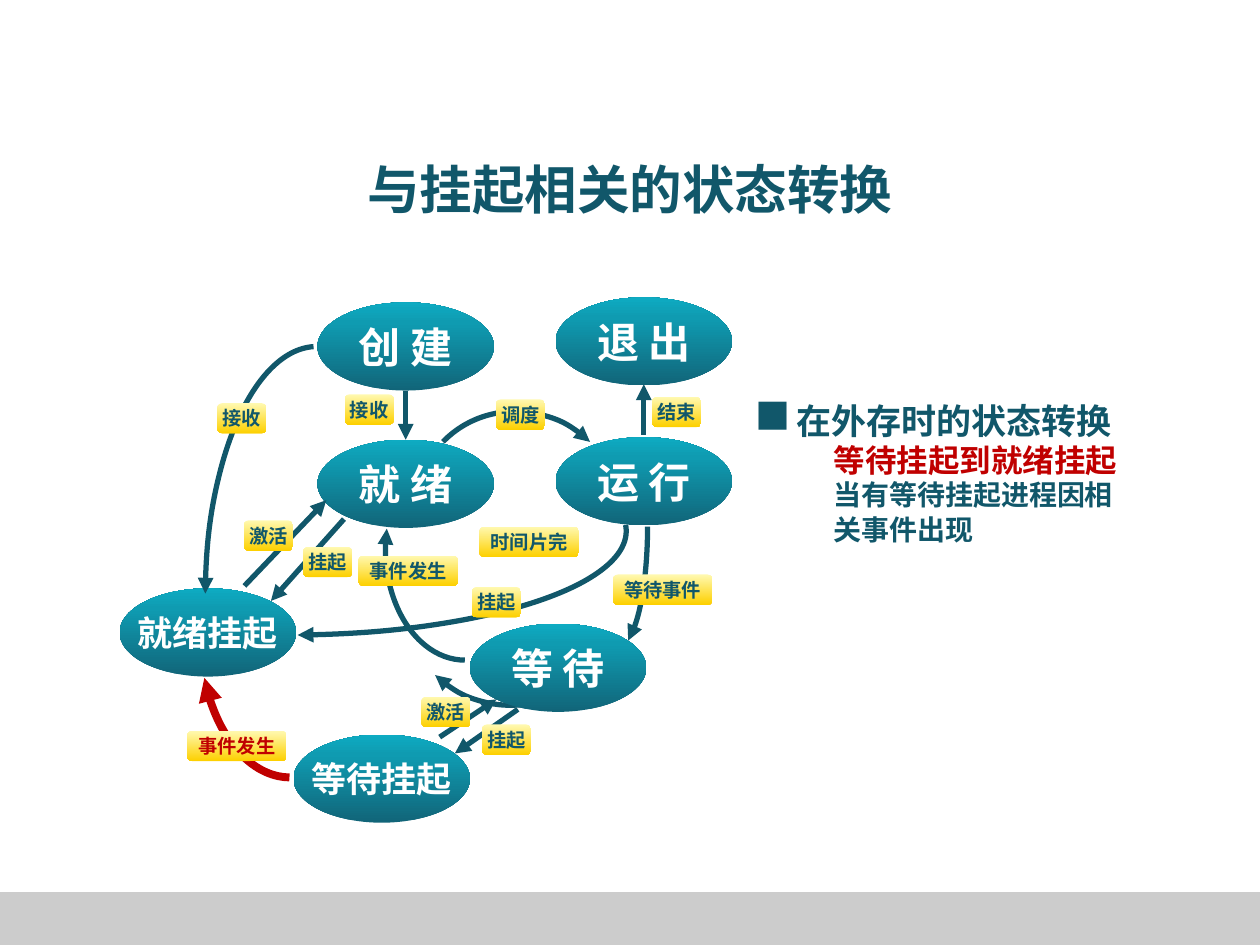
from lxml.etree import SubElement
from pptx import Presentation
from pptx.dml.color import RGBColor
from pptx.enum.shapes import MSO_CONNECTOR, MSO_SHAPE
from pptx.enum.text import MSO_ANCHOR, MSO_AUTO_SIZE, PP_ALIGN
from pptx.oxml.ns import qn
from pptx.util import Inches, Pt

# The slide is a grid of 100 columns by 75 rows
COLS, ROWS = 100, 75
CELL = Inches(0.1)
FONT = "Noto Sans CJK SC"
COLORS = {"ink": "11576A", "alert": "C00000", "white": "FFFFFF", "footer": "CCCCCC"}
NODE_STOPS = [(0, "116579"), (77, "0F9BB1"), (100, "0EABC2")]
LABEL_STOPS = [(0, "FFF9B1"), (100, "FDD000"), (100, "F0F2FF")]
NODE_SIZE = (14, 7)
LABEL_HEIGHT = 2.4

# State, left column, top row, text size
NODES = [
    ("创 建", 25.2, 24, 24),
    ("就 绪", 25.2, 34.9, 24),
    ("运 行", 44.1, 34.7, 24),
    ("等 待", 37.3, 49.5, 24),
    ("退 出", 44.1, 23.6, 24),
    ("就绪挂起", 9.5, 46.7, 20),
    ("等待挂起", 23.3, 58.3, 20),
]

# Start and end of each straight transition
STRAIGHT = [
    ((32.2, 31), (32.2, 34.9)),
    ((51.1, 34.5), (51.1, 30.5)),
    ((41.1, 56.3), (36.1, 59.8)),
    ((34.9, 58.5), (39.4, 55.5)),
    ((19.4, 46.5), (25.9, 39.7)),
    ((27.3, 41.2), (21.5, 47.7)),
]

# Frame and format of each curved transition
HIDDEN_CURVE = dict(frame=(31.9, 38.9, 16.7, 17.2), span=(160.58, 215.56), turn=134)
CURVES = [
    dict(frame=(46.4, 32, 5, 19.6), span=(0.08, 50.35)),
    dict(frame=(33.1, 32.5, 16.2, 16.8), span=(162, 0), turn=314),
    dict(frame=(-4.2, 33.9, 53.9, 16.5), span=(215.38, 50.37)),
    dict(frame=(30.6, 34.8, 12.6, 17.6), span=(207.14, 54), flip="H", arrow="headEnd"),
    dict(frame=(15.9, 39.2, 14.3, 22.5), span=(15.68, 53.78), flip="H",
         arrow="headEnd", color="alert", weight=4.5),
    dict(frame=(16.3, 27.5, 17.7, 39.5), span=(0.54, 53.54), flip="HV", arrow="headEnd"),
]

# Transition name, centre column, centre row, text colour
LABELS = [
    ("挂起", 39.4, 47.8, "ink"),
    ("接收", 19.2, 33.2, "ink"),
    ("事件发生", 18.8, 59.2, "alert"),
    ("接收", 29.3, 32.5, "ink"),
    ("激活", 21.3, 42.5, "ink"),
    ("挂起", 26, 44.6, "ink"),
    ("事件发生", 32.4, 45.3, "ink"),
    ("激活", 35.4, 56.5, "ink"),
    ("挂起", 40.2, 58.7, "ink"),
    ("等待事件", 52.6, 46.8, "ink"),
    ("时间片完", 42, 43, "ink"),
    ("调度", 41.3, 32.9, "ink"),
    ("结束", 53.7, 32.7, "ink"),
]


def cells(*counts):
    return [int(count * CELL) for count in counts]


def rgb(name):
    return RGBColor.from_string(COLORS[name])


def write(shape, text, size, color="ink", align=PP_ALIGN.LEFT,
          anchor=MSO_ANCHOR.TOP, wrap=True, inset=None, leading=None, font=FONT):
    frame = shape.text_frame
    frame.auto_size = MSO_AUTO_SIZE.NONE
    frame.word_wrap = wrap
    frame.vertical_anchor = anchor
    if inset is not None:
        frame.margin_left = frame.margin_right = inset
        frame.margin_top = frame.margin_bottom = inset
    paragraph = frame.paragraphs[0]
    paragraph.alignment = align
    if leading:
        paragraph.line_spacing = Pt(leading)
    run = paragraph.add_run()
    run.text = text
    run.font.size = Pt(size)
    run.font.bold = True
    run.font.color.rgb = rgb(color)
    run.font.name = font
    SubElement(run.font._element, qn("a:ea"), typeface=font)


def add_note(slide, frame, text, size, **text_format):
    write(slide.shapes.add_textbox(*cells(*frame)), text, size, **text_format)


def fill_gradient(shape, stops, angle):
    shape.fill.gradient()
    shape.fill.gradient_angle = angle
    stop_list = shape._element.spPr.find(qn("a:gradFill")).find(qn("a:gsLst"))
    for stop in list(stop_list):
        stop_list.remove(stop)
    for position, color in stops:
        stop = SubElement(stop_list, qn("a:gs"), pos=str(position * 1000))
        SubElement(stop, qn("a:srgbClr"), val=color)


def add_badge(slide, preset, frame, stops, angle, text, size, color):
    badge = slide.shapes.add_shape(preset, *cells(*frame))
    badge.shadow.inherit = False
    badge.line.fill.background()
    fill_gradient(badge, stops, angle)
    write(badge, text, size, color=color, align=PP_ALIGN.CENTER,
          anchor=MSO_ANCHOR.MIDDLE, wrap=False, inset=0)


def add_node(slide, text, left, top, size):
    add_badge(slide, MSO_SHAPE.OVAL, (left, top, *NODE_SIZE), NODE_STOPS, 90,
              text, size, "white")


def add_label(slide, text, center, middle, color):
    width = 2 * len(text) - 0.1
    frame = (center - width / 2, middle - LABEL_HEIGHT / 2, width, LABEL_HEIGHT)
    add_badge(slide, MSO_SHAPE.ROUNDED_RECTANGLE, frame, LABEL_STOPS, 270,
              text, 11, color)


def style_arrow(arrow, color, weight, end):
    arrow.line.color.rgb = rgb(color)
    arrow.line.width = Pt(weight)
    SubElement(arrow.line._get_or_add_ln(), qn("a:" + end), type="triangle")


def add_arrow(slide, start, end):
    arrow = slide.shapes.add_connector(MSO_CONNECTOR.STRAIGHT, *cells(*start, *end))
    style_arrow(arrow, "ink", 3, "tailEnd")
    SubElement(arrow._element.spPr, qn("a:effectLst"))


def add_curve(slide, frame, span, turn=0, flip="", arrow="tailEnd",
              color="ink", weight=3):
    curve = slide.shapes.add_shape(MSO_SHAPE.ARC, *cells(*frame))
    curve.adjustments[0], curve.adjustments[1] = span
    curve.rotation = turn
    for axis in flip:
        curve._element.spPr.xfrm.set("flip" + axis, "1")
    curve.fill.background()
    style_arrow(curve, color, weight, arrow)
    curve.shadow.inherit = False


def add_title(slide, text):
    title = slide.shapes.title
    title.left, title.top, title.width, title.height = cells(7.5, 10.4, 85, 9.2)
    write(title, text, 30, align=PP_ALIGN.CENTER, anchor=MSO_ANCHOR.MIDDLE)


def add_footer(slide):
    footer = slide.shapes.add_shape(MSO_SHAPE.RECTANGLE, *cells(0, 70.8, COLS, 4.2))
    footer.shadow.inherit = False
    footer.fill.solid()
    footer.fill.fore_color.rgb = rgb("footer")
    footer.line.fill.background()


def main():
    deck = Presentation()
    deck.slide_width, deck.slide_height = cells(COLS, ROWS)
    slide = deck.slides.add_slide(deck.slide_layouts[5])

    add_footer(slide)
    add_title(slide, "与挂起相关的状态转换")

    # Explanation on the right
    add_note(slide, (62.2, 30.5, 31.9, 4.7), "在外存时的状态转换", 20, leading=29)
    add_note(slide, (59, 30.7, 3.7, 4.4), "■", 20, leading=25, font="Noto Sans CJK JP")
    add_note(slide, (65.2, 37.4, 26.3, 4.3), "当有等待挂起进程因相关事件出现", 16,
             leading=19.5)
    add_note(slide, (65.2, 34.3, 32, 4.3), "等待挂起到就绪挂起", 18, color="alert",
             leading=23)

    # State diagram, from back to front
    add_curve(slide, **HIDDEN_CURVE)
    for node in NODES:
        add_node(slide, *node)
    for curve in CURVES:
        add_curve(slide, **curve)
    for start, end in STRAIGHT:
        add_arrow(slide, start, end)
    for label in LABELS:
        add_label(slide, *label)

    deck.save("out.pptx")


if __name__ == "__main__":
    main()
